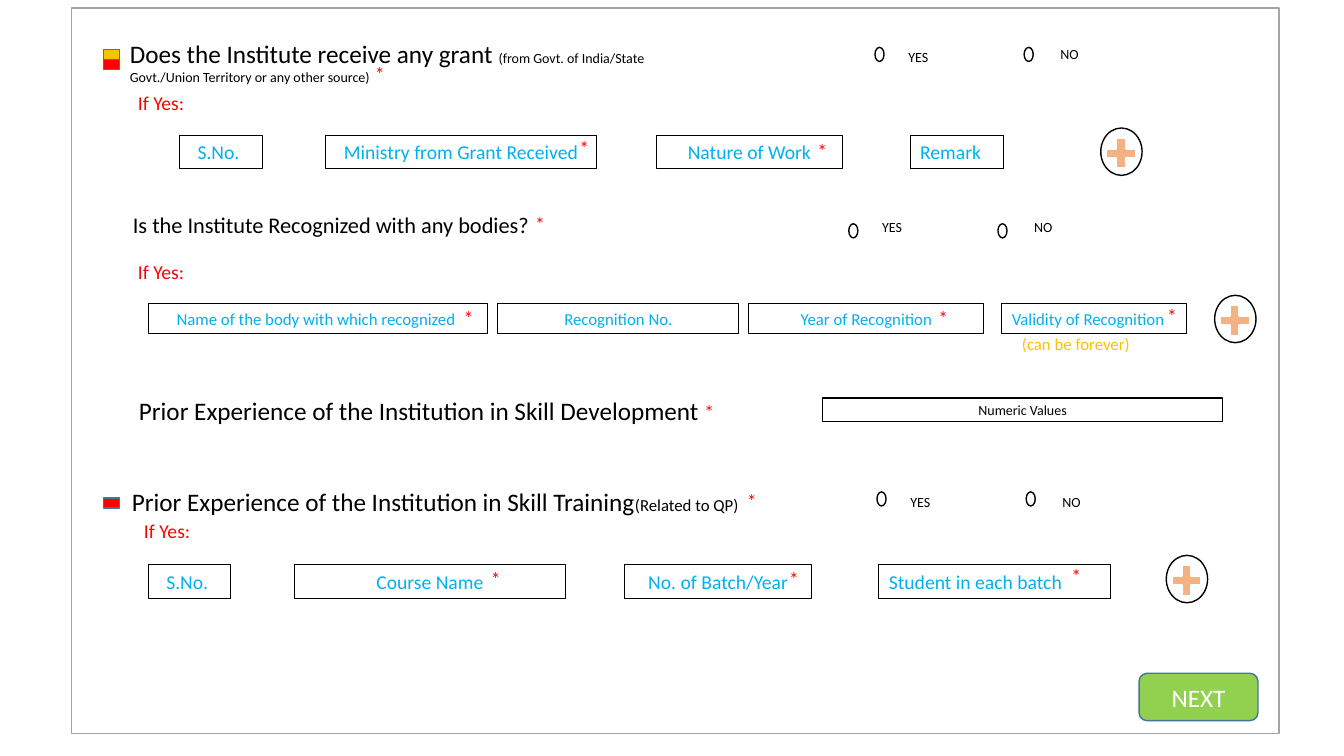
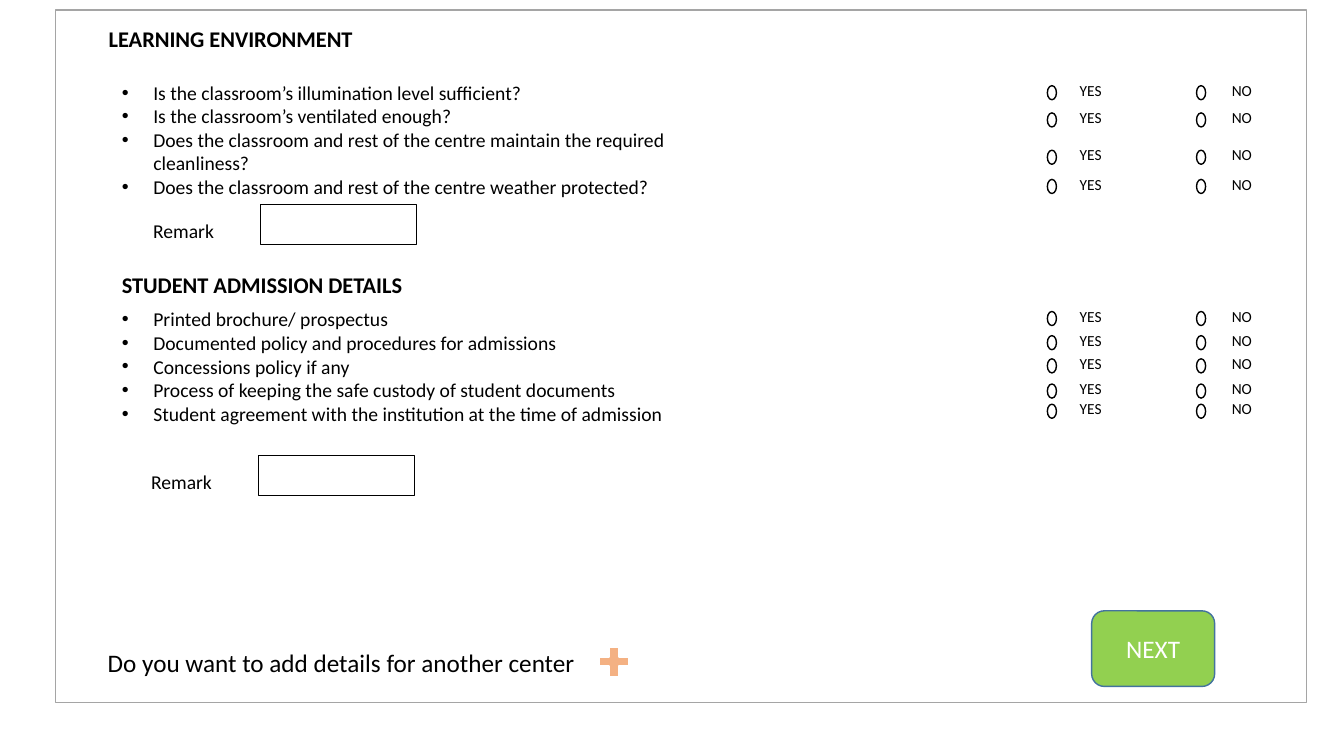
import pptx
import pptx.dml.color
import pptx.enum.shapes
import pptx.enum.text
import pptx.util
from dataclasses import dataclass
from lxml import etree

SHAPE = pptx.enum.shapes.MSO_SHAPE
ALIGN = pptx.enum.text.PP_ALIGN
ANCHOR = pptx.enum.text.MSO_ANCHOR
AUTO_SIZE = pptx.enum.text.MSO_AUTO_SIZE

# Grid of square cells, ten to the inch; all lengths below are in cells
CELL = pptx.util.Inches(0.1)
COLUMNS, ROWS = 133.33, 75


@dataclass(frozen=True)
class Theme:
    font: str = "Calibri"
    ink: str = "000000"
    paper: str = "FFFFFF"
    frame: str = "A5A5A5"
    required: str = "FF0000"
    field: str = "00B0F0"
    hint: str = "FFC000"
    button: str = "92D050"
    outline: str = "43739E"
    plus: str = "F4B183"
    question: int = 18
    heading: int = 16
    body: int = 14
    note: int = 12
    choice: int = 11
    small: int = 10


THEME = Theme()


def cells(*lengths):
    return [round(length * CELL) for length in lengths]


def rgb(color):
    return pptx.dml.color.RGBColor.from_string(color)


# Basic elements
def draw(shapes, kind, box, fill=None, line=THEME.ink, weight=1):
    part = shapes.add_shape(kind, *cells(*box))
    part.shadow.inherit = False
    if fill:
        part.fill.solid()
        part.fill.fore_color.rgb = rgb(fill)
    else:
        part.fill.background()
    part.line.color.rgb = rgb(line)
    part.line.width = pptx.util.Pt(weight)
    return part


def style(paragraph, size, color, align=ALIGN.LEFT, bold=False):
    paragraph.alignment = align
    paragraph.font.name = THEME.font
    paragraph.font.size = pptx.util.Pt(size)
    paragraph.font.color.rgb = rgb(color)
    paragraph.font.bold = bold


def fill_frame(part, wording, size, color, align=ALIGN.LEFT,
               anchor=ANCHOR.TOP, bold=False, grow=True):
    frame = part.text_frame
    frame.word_wrap = True
    frame.vertical_anchor = anchor
    if grow:
        frame.auto_size = AUTO_SIZE.SHAPE_TO_FIT_TEXT
    frame.text = wording
    for paragraph in frame.paragraphs:
        style(paragraph, size, color, align, bold)
    return frame


def write(shapes, box, wording, size=THEME.body, color=THEME.ink, **options):
    part = shapes.add_textbox(*cells(*box))
    return fill_frame(part, wording, size, color, **options)


# Form elements
def page(deck, box):
    shapes = deck.slides.add_slide(deck.slide_layouts[6]).shapes
    draw(shapes, SHAPE.RECTANGLE, box, THEME.paper, THEME.frame)
    return shapes


def next_button(shapes, box):
    button = draw(shapes, SHAPE.ROUNDED_RECTANGLE, box,
                  THEME.button, THEME.outline)
    fill_frame(button, "NEXT", THEME.question, THEME.paper, ALIGN.CENTER,
               ANCHOR.MIDDLE, grow=False)


def question(shapes, box, wording, detail="", detail_size=THEME.small,
             size=THEME.question):
    paragraph = write(shapes, box, wording, size).paragraphs[0]
    if detail:
        run = paragraph.add_run()
        run.text = detail
        run.font.size = pptx.util.Pt(detail_size)


def yes_no(shapes, left, top, yes_top, no_top, size=THEME.small):
    choices = shapes.add_group_shape().shapes
    for label, shift, label_shift, label_top in (
            ("YES", 0, -10.7, yes_top), ("NO", 14.8, 4.3, no_top)):
        draw(choices, SHAPE.OVAL, (left + shift, top, 0.9, 1.4))
        write(choices, (left + label_shift, label_top, 30, 2.8), label, size,
              align=ALIGN.CENTER)


def yes_no_list(shapes, tops):
    for top in tops:
        yes_no(shapes, 103.9, top, top - 0.95, top - 0.95, THEME.choice)


def field_row(shapes, top, height, size, fields):
    row = shapes.add_group_shape().shapes
    for number, (left, width, label) in enumerate(fields, 1):
        field = draw(row, SHAPE.RECTANGLE, (left, top, width, height),
                     weight=0.75)
        align = ALIGN.LEFT if number == len(fields) else ALIGN.CENTER
        fill_frame(field, label, size, THEME.field, align)


def plus_sign(shapes, left, top):
    draw(shapes, SHAPE.MATH_PLUS, (left, top, 4, 4.1), THEME.plus,
         THEME.paper, 1.5)


def add_button(shapes, left, top):
    button = shapes.add_group_shape().shapes
    draw(button, SHAPE.OVAL, (left, top, 4.1, 4.7), THEME.paper)
    plus_sign(button, left, top + 0.45)


def marker(shapes, top, color):
    draw(shapes, SHAPE.MATH_MINUS, (10, top, 2.15, 4.2), color, THEME.outline)


def if_yes(shapes, left, top):
    write(shapes, (left, top, 7.8, 5.7), "If Yes:", color=THEME.required)


def required_marks(shapes, places):
    for left, top in places:
        write(shapes, (left, top, 6.5, 3.4), "*", color=THEME.required)


def heading(shapes, left, top, wording):
    write(shapes, (left, top, 46.9, 3.7), wording, THEME.heading, bold=True)


def checklist(shapes, box, items):
    for paragraph in write(shapes, box, "\n".join(items)).paragraphs:
        properties = paragraph.font._element.getparent()
        indent = cells(3.125)[0]
        properties.set("marL", str(indent))
        properties.set("indent", str(-indent))
        space = etree.QName(properties).namespace
        for place, (tag, name, value) in enumerate(
                (("buFont", "typeface", "Arial"), ("buChar", "char", "•"))):
            bullet = etree.Element(f"{{{space}}}{tag}")
            bullet.set(name, value)
            properties.insert(place, bullet)


def remark(shapes, left, top):
    write(shapes, (left, top + 0.9, 12, 3.4), "Remark")
    draw(shapes, SHAPE.RECTANGLE, (left + 11.6, top, 15.5, 4), weight=0.75)


# Slides
def grants_and_experience(deck):
    shapes = page(deck, (7.1, 0.8, 119.8, 72))
    next_button(shapes, (113, 66.8, 11.8, 4.7))

    # Grants
    question(shapes, (11.9, 3.3, 56.6, 5.7),
             "Does the Institute receive any grant ",
             "(from Govt. of India/State Govt./Union Territory "
             "or any other source)")
    marker(shapes, 3.3, THEME.hint)
    marker(shapes, 4.3, THEME.required)
    yes_no(shapes, 86.8, 4.7, 4.3, 4)
    if_yes(shapes, 12.7, 8.5)
    field_row(shapes, 13.4, 3.35, THEME.body, (
        (17.8, 8.2, "S.No.\u00a0"),
        (32.3, 26.9, "Ministry from Grant Received"),
        (65.1, 18.5, "Nature of Work"),
        (90.3, 9.3, "Remark")))
    add_button(shapes, 109.2, 12.7)

    # Recognition
    question(shapes, (12.2, 20.5, 56.6, 3.7),
             "Is the Institute Recognized with any bodies? ",
             size=THEME.heading)
    yes_no(shapes, 84.2, 22.2, 21.2, 21.2)
    if_yes(shapes, 12.7, 25.3)
    field_row(shapes, 30.1, 3, THEME.note, (
        (14.7, 33.7, "Name of the body with which recognized\u00a0"),
        (49.4, 23.9, "Recognition No."),
        (74.3, 23.3, "Year of Recognition"),
        (99.4, 18.3, "Validity of Recognition")))
    add_button(shapes, 120.5, 29.3)
    write(shapes, (100.4, 32.6, 22.3, 3), "(can be forever)", THEME.note,
          THEME.hint)

    # Skill development
    question(shapes, (12.8, 38.7, 61.2, 4),
             "Prior Experience of the Institution in Skill Development")
    amount = draw(shapes, SHAPE.RECTANGLE, (81.6, 39.5, 39.7, 2.3))
    fill_frame(amount, "Numeric Values", THEME.small, THEME.ink,
               ALIGN.CENTER, ANCHOR.MIDDLE, grow=False)

    # Skill training
    question(shapes, (12.1, 47.8, 63.2, 4),
             "Prior Experience of the Institution in Skill Training",
             "(Related to QP)", THEME.note)
    marker(shapes, 47.8, THEME.required)
    yes_no(shapes, 87, 48.8, 48.5, 48.5)
    if_yes(shapes, 13.3, 51)
    field_row(shapes, 56, 3.35, THEME.body, (
        (14.7, 8.2, "S.No.\u00a0"),
        (29.2, 26.9, "Course Name"),
        (62, 18.5, "No. of Batch/Year"),
        (87.2, 23, "Student in each batch")))
    add_button(shapes, 115.7, 55.1)

    required_marks(shapes, (
        (36.2, 5.7), (56.5, 13), (80.1, 13.3),
        (52.1, 20.5), (45, 29.9), (92.1, 29.9), (114.8, 29.7),
        (68.9, 39.2),
        (73.1, 48), (47.7, 55.8), (77.3, 55.8), (105.3, 55.5)))


def learning_and_admission(deck):
    shapes = page(deck, (5.5, 1, 124.1, 68.7))
    next_button(shapes, (108.3, 60.6, 12.2, 7.5))

    # Learning environment
    heading(shapes, 9.8, 2, "LEARNING ENVIRONMENT")
    checklist(shapes, (11.1, 7.5, 58.1, 15.1), (
        "Is the classroom’s illumination level sufficient?",
        "Is the classroom’s ventilated enough?",
        "Does the classroom and rest of the centre maintain the required "
        "cleanliness?",
        "Does the classroom and rest of the centre weather protected?"))
    yes_no_list(shapes, (8.5, 11.2, 14.9, 17.8))
    remark(shapes, 14.2, 20.3)

    # Student admission
    heading(shapes, 11.1, 26.4, "STUDENT ADMISSION DETAILS")
    checklist(shapes, (11.1, 30, 61.9, 15.1), (
        "Printed brochure/ prospectus",
        "Documented policy and procedures for admissions",
        "Concessions policy if any\u00a0",
        "Process of keeping the safe custody of student documents",
        "Student agreement with the institution at the time of admission"))
    yes_no_list(shapes, (30.9, 33.3, 35.6, 38.1, 40.1))
    remark(shapes, 14, 45.2)

    # Another center
    question(shapes, (9.7, 63.7, 53.1, 4),
             "Do you want to add details for another center ")
    plus_sign(shapes, 58.9, 63.6)


def main():
    deck = pptx.Presentation()
    deck.slide_width, deck.slide_height = cells(COLUMNS, ROWS)
    grants_and_experience(deck)
    learning_and_admission(deck)
    deck.save("out.pptx")


main()
